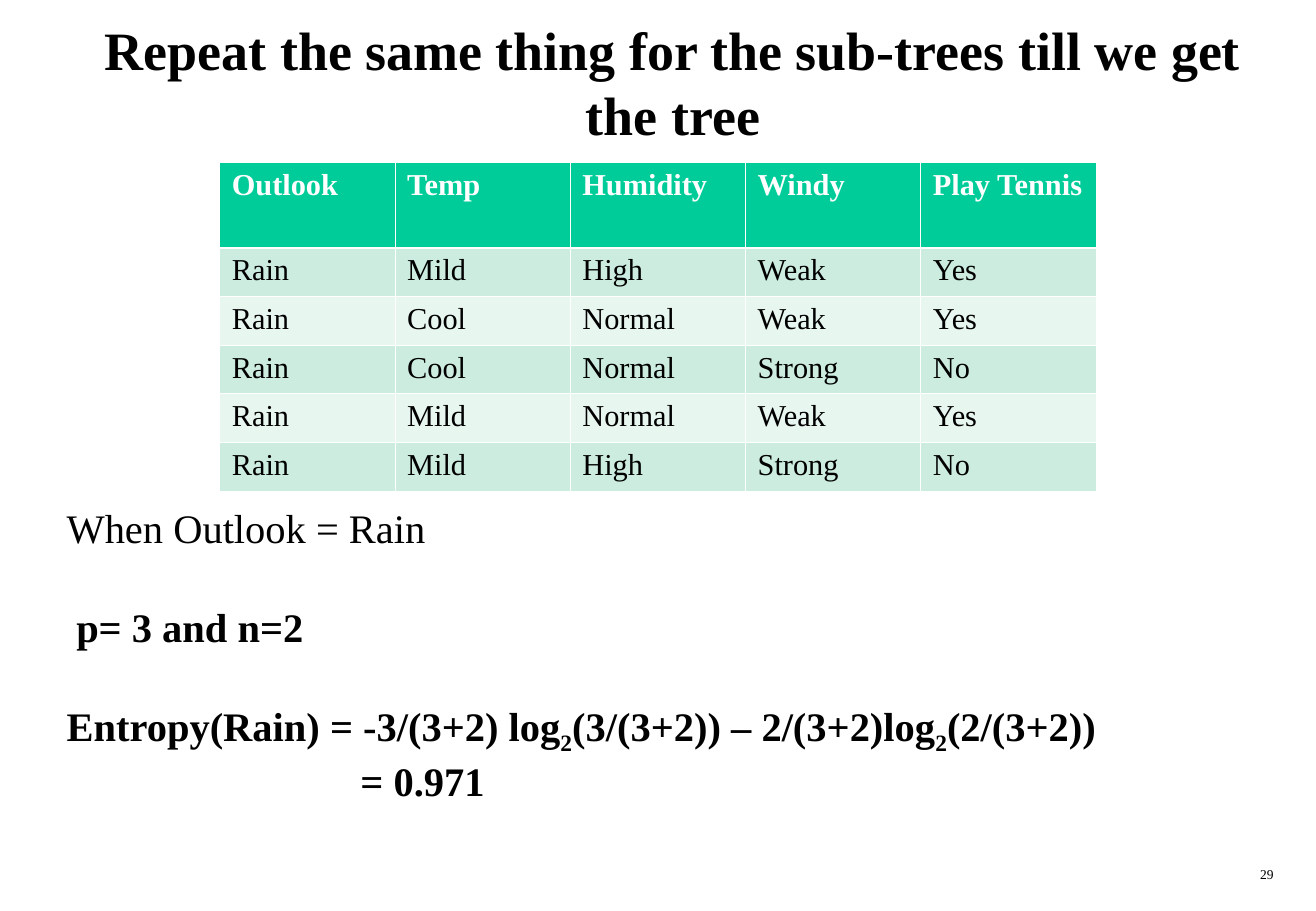
from lxml import etree
from pptx import Presentation
from pptx.dml.color import RGBColor
from pptx.enum import text
from pptx.oxml import ns
from pptx.util import Inches, Pt

FONT = "Times New Roman"
BLACK = RGBColor(0x00, 0x00, 0x00)
WHITE = RGBColor(0xFF, 0xFF, 0xFF)
GREEN = RGBColor(0x00, 0xCC, 0x99)
BANDS = [RGBColor(0xE7, 0xF6, 0xEF), RGBColor(0xCB, 0xEC, 0xDE)]


def style(paragraph, size, bold=False, color=BLACK):
    for run in paragraph.runs:
        run.font.name = FONT
        run.font.size = Pt(size)
        run.font.bold = bold
        run.font.color.rgb = color


def add_box(left, top, width, height):
    frame = slide.shapes.add_textbox(
        Inches(left), Inches(top), Inches(width), Inches(height)).text_frame
    frame.word_wrap = True
    return frame


prs = Presentation()
prs.slide_width, prs.slide_height = Inches(10.84), Inches(7.5)
slide = prs.slides.add_slide(prs.slide_layouts[6])

title = add_box(0.42, 0.17, 10.25, 1)
title.vertical_anchor = text.MSO_ANCHOR.MIDDLE
title.text = "Repeat the same thing for the sub-trees till we get the tree"
title.paragraphs[0].alignment = text.PP_ALIGN.CENTER
style(title.paragraphs[0], 32, bold=True)

page_number = add_box(8.33, 7.08, 2.26, 0.25)
page_number.text = "29"
page_number.paragraphs[0].alignment = text.PP_ALIGN.RIGHT
style(page_number.paragraphs[0], 8)

# Weather observations with a rainy outlook
observations = [
    ["Outlook", "Temp", "Humidity", "Windy", "Play Tennis"],
    ["Rain", "Mild", "High", "Weak", "Yes"],
    ["Rain", "Cool", "Normal", "Weak", "Yes"],
    ["Rain", "Cool", "Normal", "Strong", "No"],
    ["Rain", "Mild", "Normal", "Weak", "Yes"],
    ["Rain", "Mild", "High", "Strong", "No"],
]
table = slide.shapes.add_table(
    len(observations), len(observations[0]),
    Inches(1.81), Inches(1.34), Inches(7.22), Inches(2.7)).table
table.horz_banding = False

for r, values in enumerate(observations):
    header = r == 0
    table.rows[r].height = Inches(0.7 if header else 0.4)
    for c, value in enumerate(values):
        cell = table.cell(r, c)
        cell.text = value
        style(cell.text_frame.paragraphs[0], 18, header, WHITE if header else BLACK)
        properties = cell._tc.get_or_add_tcPr()
        for side in "LRTB":
            thick = (r, side) in [(0, "B"), (1, "T")]
            line = etree.SubElement(properties, ns.qn(f"a:ln{side}"),
                                    w=str(Pt(1.47 if thick else 0.45)))
            fill = etree.SubElement(line, ns.qn("a:solidFill"))
            etree.SubElement(fill, ns.qn("a:srgbClr"), val=str(WHITE))
        cell.fill.solid()
        cell.fill.fore_color.rgb = GREEN if header else BANDS[r % 2]

# Each line: pieces (every second one a subscript), bold, indent, space before
entropy_lines = [
    (["When Outlook = Rain"], False, 0, 0),
    (["p= 3 and n=2"], True, 0.08, 30),
    (["Entropy(Rain) = -3/(3+2) log", "2", "(3/(3+2)) – 2/(3+2)log", "2", "(2/(3+2))"],
     True, 0, 30),
    (["= 0.971"], True, 2.42, 0),
]
entropy = add_box(0.45, 4.09, 10.22, 2.56)
for i, (pieces, bold, indent, gap) in enumerate(entropy_lines):
    paragraph = entropy.add_paragraph() if i else entropy.paragraphs[0]
    for k, piece in enumerate(pieces):
        run = paragraph.add_run()
        run.text = piece
        if k % 2:
            run._r.get_or_add_rPr().set("baseline", "-25000")
    style(paragraph, 24, bold)
    if gap:
        paragraph.space_before = Pt(gap)
    if indent:
        paragraph._p.get_or_add_pPr().set("marL", str(Inches(indent)))

prs.save("out.pptx")
